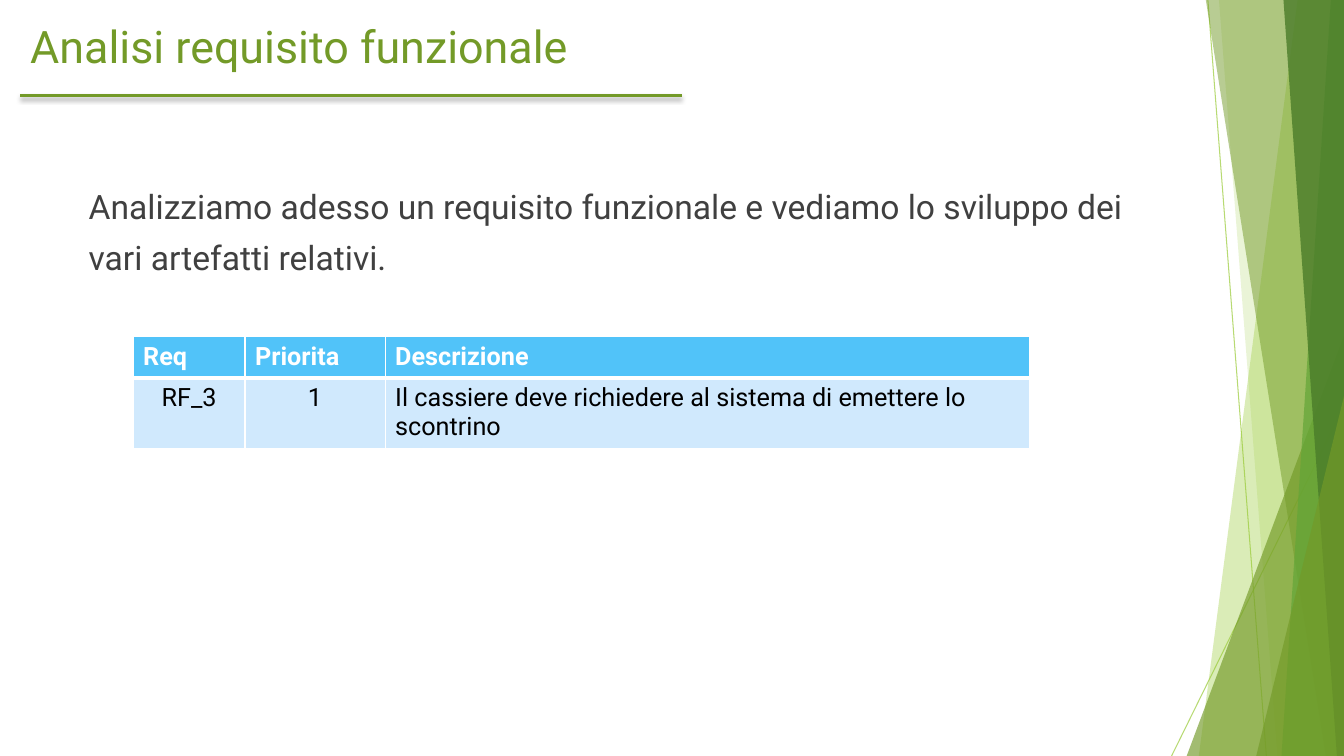
from lxml import etree
from pptx import Presentation
from pptx.dml.color import RGBColor as RGB
from pptx.enum.shapes import MSO_CONNECTOR as LINK, MSO_SHAPE as FORM
from pptx.enum.text import MSO_ANCHOR as ANCHOR, MSO_AUTO_SIZE as FIT, PP_ALIGN as ALIGN
from pptx.oxml.ns import qn
from pptx.util import Inches, Pt

WIDE, HIGH = 13.33, 7.5
FONT = "Roboto"
COL = {
    "lime": "99CB38", "olive": "739A28", "green": "63A537", "dark": "4A7C29",
    "grey": "404040", "white": "FFFFFF", "black": "000000",
    "head": "51C3F9", "row": "D0E9FD",
}

# Bands run from the top edge to the bottom: top x, bottom x, colour, opacity
BANDS = [
    (12.87, 11.89, "lime", 36), (12.09, 12.67, "lime", 20),
    (11.96, 13.15, "olive", 50), (13.2, 12.71, "green", 70),
    (12.73, 13.26, "dark", 80),
]
# Wedges rise to the right edge: left, top
WEDGES = [(11.77, 3.33), (12.46, 3.93)]
# Thin rays: start x, start y, end x
RAYS = [(11.98, 0, 12.56), (WIDE, 4.03, 11.62)]

COLS = [1.11, 1.39, 6.39]
ROWS = [0.41, 0.7]
CELLS = [
    ["Req", "Priorita", "Descrizione"],
    ["RF_3", "1", "Il cassiere deve richiedere al sistema di emettere lo scontrino"],
]


def sub(node, tag, **attrs):
    """Add a drawing element with the given attributes."""
    return etree.SubElement(node, qn("a:" + tag), {k: str(v) for k, v in attrs.items()})


def fade(shape, share):
    """Set the opacity, in percent, of the first colour of a shape."""
    tone = next(shape._element.spPr.iter(qn("a:srgbClr")))
    sub(tone, "alpha", val=share * 1000)


def place(shape, left, top, width, height):
    shape.left, shape.top = Inches(left), Inches(top)
    shape.width, shape.height = Inches(width), Inches(height)


def write(para, text, size=18, color="black", bold=False, align=ALIGN.LEFT):
    para.alignment = align
    run = para.add_run()
    run.text = text
    font = run.font
    font.name, font.size, font.bold = FONT, Pt(size), bold
    font.color.rgb = RGB.from_string(COL[color])


def paint(shape, color, share):
    shape.fill.solid()
    shape.fill.fore_color.rgb = RGB.from_string(COL[color])
    shape.line.fill.background()
    shape.shadow.inherit = False
    fade(shape, share)


def stroke(slide, start, end, color, width):
    """Draw a straight line and return it with its empty effect list."""
    line = slide.shapes.add_connector(LINK.STRAIGHT, *map(Inches, start + end))
    line.line.color.rgb = RGB.from_string(COL[color])
    line.line.width = Pt(width)
    return line, sub(line._element.spPr, "effectLst")


def band(slide, top, foot, color, share):
    pts = [(Inches(x), Inches(y)) for x, y in
           [(top, 0), (WIDE, 0), (WIDE, HIGH), (foot, HIGH)]]
    pen = slide.shapes.build_freeform(*pts[0])
    pen.add_line_segments(pts[1:], close=True)
    paint(pen.convert_to_shape(), color, share)


def wedge(slide, left, top):
    shape = slide.shapes.add_shape(FORM.ISOSCELES_TRIANGLE, 0, 0, 0, 0)
    place(shape, left, top, WIDE - left, HIGH - top)
    shape.adjustments[0] = 1
    paint(shape, "olive", 66)


def fan(slide):
    for x, y, end in RAYS:
        line, _ = stroke(slide, (x, y), (end, HIGH), "lime", 0.75)
        fade(line, 70)
    for i, item in enumerate(BANDS):
        band(slide, *item)
        if i == 1:
            wedge(slide, *WEDGES[0])
    wedge(slide, *WEDGES[1])


def frame(shape, *box):
    """Move a placeholder and return its first paragraph."""
    place(shape, *box)
    text = shape.text_frame
    text.word_wrap, text.auto_size = True, FIT.NONE
    text.vertical_anchor = ANCHOR.TOP
    return text.paragraphs[0]


def rule(slide):
    _, glow = stroke(slide, (0.2, 0.95), (6.76, 0.95), "olive", 2)
    drop = sub(glow, "outerShdw", blurRad=Pt(3), dist=Pt(2), dir=90 * 60000, rotWithShape=0)
    sub(sub(drop, "srgbClr", val=COL["black"]), "alpha", val=35000)


def edge(cell, base):
    """Give a cell white borders, the lower one of the given width."""
    props = cell._tc.get_or_add_tcPr()
    for i, (tag, width) in enumerate([("lnL", 1), ("lnR", 1), ("lnT", 1), ("lnB", base)]):
        side = etree.Element(qn("a:" + tag), w=str(Pt(width)))
        sub(sub(side, "solidFill"), "srgbClr", val=COL["white"])
        props.insert(i, side)


def grid(slide):
    box = map(Inches, (1.32, 3.34, sum(COLS), sum(ROWS)))
    table = slide.shapes.add_table(len(ROWS), len(COLS), *box).table
    for col, width in zip(table.columns, COLS):
        col.width = Inches(width)
    for r, height in enumerate(ROWS):
        table.rows[r].height = Inches(height)
        top = r == 0
        for c, text in enumerate(CELLS[r]):
            cell = table.cell(r, c)
            cell.fill.solid()
            cell.fill.fore_color.rgb = RGB.from_string(COL["head" if top else "row"])
            edge(cell, 3 if top else 1)
            write(cell.text_frame.paragraphs[0], text, bold=top,
                  color="white" if top else "black",
                  align=ALIGN.LEFT if top or c == 2 else ALIGN.CENTER)


def main():
    deck = Presentation()
    deck.slide_width, deck.slide_height = Inches(WIDE), Inches(HIGH)
    slide = deck.slides.add_slide(deck.slide_layouts[1])

    # Green fan on the right
    fan(slide)

    # Title and its rule
    title = frame(slide.shapes.title, 0.2, 0.14, 7.55, 0.84)
    write(title, "Analisi requisito funzionale", size=32, color="olive")
    rule(slide)

    # Body text without bullet; the larger last space opens the second line
    body = frame(slide.placeholders[1], 0.78, 1.79, 10.54, 3.85)
    body.space_before = Pt(10)
    props = body._p.get_or_add_pPr()
    props.set("marL", "0")
    props.set("indent", "0")
    sub(props, "buNone")
    write(body, "Analizziamo adesso un requisito funzionale e vediamo "
          "lo sviluppo dei vari artefatti relativi.", size=24, color="grey")
    write(body, " ", size=32, color="grey")

    # Requirement table
    grid(slide)
    deck.save("out.pptx")


main()
